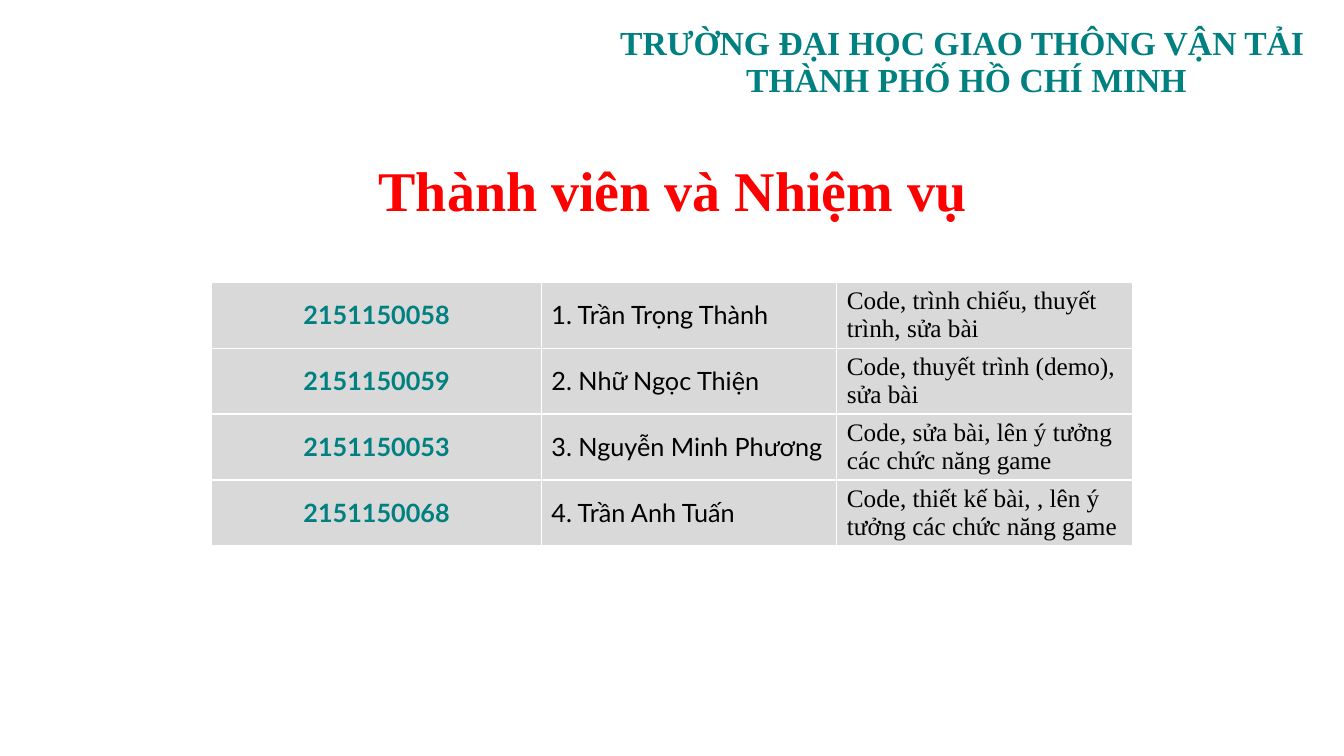
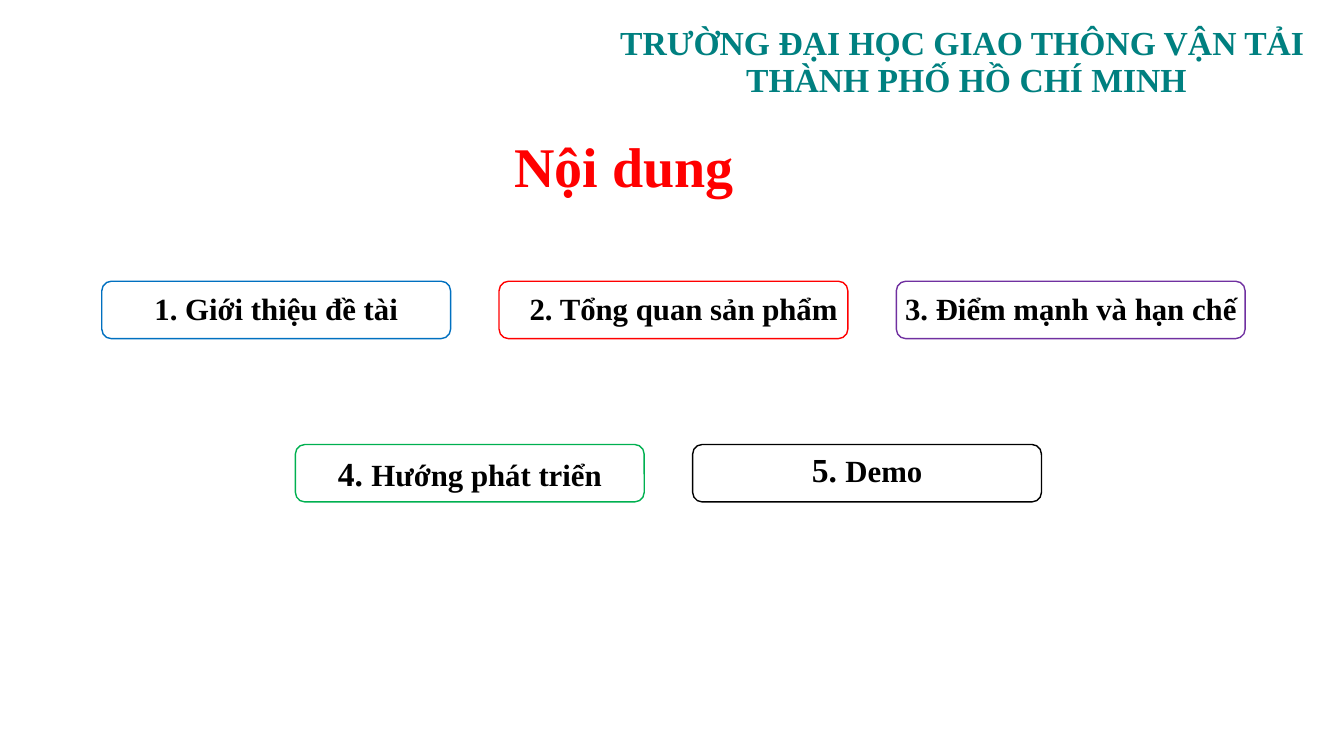
"""Build the team and contents slides of a university project presentation."""
from dataclasses import dataclass
from typing import NamedTuple

from pptx import Presentation
from pptx.dml.color import RGBColor
from pptx.enum.shapes import MSO_SHAPE
from pptx.enum.text import MSO_ANCHOR, MSO_AUTO_SIZE, PP_ALIGN
from pptx.util import Inches, Pt

ROUNDED = MSO_SHAPE.ROUNDED_RECTANGLE
TOP, MIDDLE = MSO_ANCHOR.TOP, MSO_ANCHOR.MIDDLE
LEFT, CENTER = PP_ALIGN.LEFT, PP_ALIGN.CENTER
NO_AUTOFIT = MSO_AUTO_SIZE.NONE
TITLE_ONLY = 5


@dataclass(frozen=True)
class Theme:
    serif: str = "Times New Roman"
    sans: str = "Lato"
    teal: str = "008080"
    red: str = "FF0000"
    blue: str = "0070C0"
    purple: str = "7030A0"
    green: str = "00B050"
    black: str = "000000"
    white: str = "FFFFFF"
    cell: str = "D9D9D9"
    title_size: int = 40
    banner_size: int = 24
    topic_size: int = 22
    large_number_size: int = 24
    table_size: int = 18


THEME = Theme()


class Box(NamedTuple):
    left: float
    top: float
    width: float
    height: float

    def inches(self) -> list:
        return [Inches(length) for length in self]


class Member(NamedTuple):
    student_id: str
    name: str
    tasks: str


class Column(NamedTuple):
    width: float
    font: str
    color: str
    bold: bool
    align: PP_ALIGN


class Topic(NamedTuple):
    number: str
    caption: str
    outline: str
    number_size: int = THEME.topic_size
    left_inset: float = 0
    bottom_inset: float = 0.04


class TopicRow(NamedTuple):
    left: float
    top: float
    topics: list[Topic]


BANNER = "TRƯỜNG ĐẠI HỌC GIAO THÔNG VẬN TẢI \vTHÀNH PHỐ HỒ CHÍ MINH"
BANNER_BOX = Box(5.84, 0.25, 7.49, 0.75)
BANNER_ID = "20"

TABLE_LEFT, TABLE_TOP, ROW_HEIGHT = 2.1, 2.8, 0.65
COLUMNS = [
    Column(3.27, THEME.sans, THEME.teal, True, CENTER),
    Column(2.93, THEME.sans, THEME.black, False, LEFT),
    Column(2.93, THEME.serif, THEME.black, False, LEFT),
]
MEMBERS = [
    Member("2151150058", "1. Trần Trọng Thành", "Code, trình chiếu, thuyết trình, sửa bài"),
    Member("2151150059", "2. Nhữ Ngọc Thiện", "Code, thuyết trình (demo), sửa bài"),
    Member("2151150053", "3. Nguyễn Minh Phương", "Code, sửa bài, lên ý tưởng các chức năng game"),
    Member("2151150068", "4. Trần Anh Tuấn", "Code, thiết kế bài, , lên ý tưởng các chức năng game"),
]

TOPIC_WIDTH, TOPIC_HEIGHT, TOPIC_GAP = 3.46, 0.57, 0.48
TOPIC_ROWS = [
    TopicRow(1.01, 2.79, [
        Topic("1. ", "Giới thiệu đề tài", THEME.blue),
        Topic("2. ", "Tổng quan sản phẩm", THEME.red, left_inset=0.2),
        Topic("3. ", "Điểm mạnh và hạn chế", THEME.purple),
    ]),
    TopicRow(2.93, 4.41, [
        Topic("4. ", "Hướng phát triển", THEME.green, THEME.large_number_size, bottom_inset=0),
        Topic("5. ", "Demo", THEME.black, THEME.large_number_size, bottom_inset=0.08),
    ]),
]


def style(paragraph, size: int, color: str, font: str = THEME.serif,
          bold: bool = True, align: PP_ALIGN = CENTER) -> None:
    """Set the font and alignment of a paragraph."""
    paragraph.alignment = align
    paragraph.font.name = font
    paragraph.font.size = Pt(size)
    paragraph.font.bold = bold
    paragraph.font.color.rgb = RGBColor.from_string(color)


def add_banner(slide) -> None:
    """Place the university name on the layout that the slides share."""
    banner = slide.shapes.add_textbox(*BANNER_BOX.inches())
    frame = banner.text_frame
    frame.word_wrap = True
    frame.vertical_anchor = MIDDLE
    paragraph = frame.paragraphs[0]
    paragraph.text = BANNER
    paragraph.line_spacing = 0.9
    style(paragraph, THEME.banner_size, THEME.teal)
    banner.element.xpath(".//p:cNvPr")[0].set("id", BANNER_ID)
    slide.slide_layout.shapes.element.append(banner.element)


def set_title(slide, text: str, box: Box, anchor: MSO_ANCHOR) -> None:
    """Fill and position the title placeholder."""
    title = slide.shapes.title
    title.left, title.top, title.width, title.height = box.inches()
    frame = title.text_frame
    frame.auto_size = NO_AUTOFIT
    frame.vertical_anchor = anchor
    paragraph = frame.paragraphs[0]
    paragraph.text = text
    paragraph.line_spacing = 0.9
    style(paragraph, THEME.title_size, THEME.red)


def add_member_table(slide) -> None:
    """Draw the table of members and their tasks."""
    box = Box(TABLE_LEFT, TABLE_TOP, sum(column.width for column in COLUMNS),
              ROW_HEIGHT * len(MEMBERS))
    table = slide.shapes.add_table(len(MEMBERS), len(COLUMNS), *box.inches()).table
    table.first_row = False
    table.horz_banding = False
    for index, column in enumerate(COLUMNS):
        table.columns[index].width = Inches(column.width)
        for row, member in enumerate(MEMBERS):
            cell = table.cell(row, index)
            cell.fill.solid()
            cell.fill.fore_color.rgb = RGBColor.from_string(THEME.cell)
            cell.vertical_anchor = MIDDLE
            paragraph = cell.text_frame.paragraphs[0]
            paragraph.text = member[index]
            style(paragraph, THEME.table_size, column.color, column.font,
                  column.bold, column.align)


def add_topic(slide, topic: Topic, box: Box) -> None:
    """Draw one outlined topic with its number and caption."""
    card = slide.shapes.add_shape(ROUNDED, *box.inches())
    card.shadow.inherit = False
    card.fill.solid()
    card.fill.fore_color.rgb = RGBColor.from_string(THEME.white)
    card.line.color.rgb = RGBColor.from_string(topic.outline)
    card.line.width = Pt(1)
    frame = card.text_frame
    frame.vertical_anchor = MIDDLE
    frame.margin_left = Inches(topic.left_inset)
    frame.margin_bottom = Inches(topic.bottom_inset)
    frame.margin_right = frame.margin_top = 0
    paragraph = frame.paragraphs[0]
    style(paragraph, THEME.topic_size, THEME.black)
    number = paragraph.add_run()
    number.text = topic.number
    if topic.number_size != THEME.topic_size:
        number.font.size = Pt(topic.number_size)
    paragraph.add_run().text = topic.caption


def add_topics(slide) -> None:
    """Lay out the topics in evenly spaced rows."""
    for row in TOPIC_ROWS:
        for index, topic in enumerate(row.topics):
            left = row.left + index * (TOPIC_WIDTH + TOPIC_GAP)
            add_topic(slide, topic, Box(left, row.top, TOPIC_WIDTH, TOPIC_HEIGHT))


def main() -> None:
    """Build and save the presentation."""
    deck = Presentation()
    deck.slide_width, deck.slide_height = Inches(13.33), Inches(7.5)
    layout = deck.slide_layouts[TITLE_ONLY]

    team = deck.slides.add_slide(layout)
    add_banner(team)
    set_title(team, "Thành viên và Nhiệm vụ", Box(1.67, 1.57, 10, 0.82), TOP)
    add_member_table(team)

    contents = deck.slides.add_slide(layout)
    set_title(contents, "Nội dung", Box(1.19, 1.28, 10, 0.8), MIDDLE)
    add_topics(contents)

    deck.save("out.pptx")


if __name__ == "__main__":
    main()
